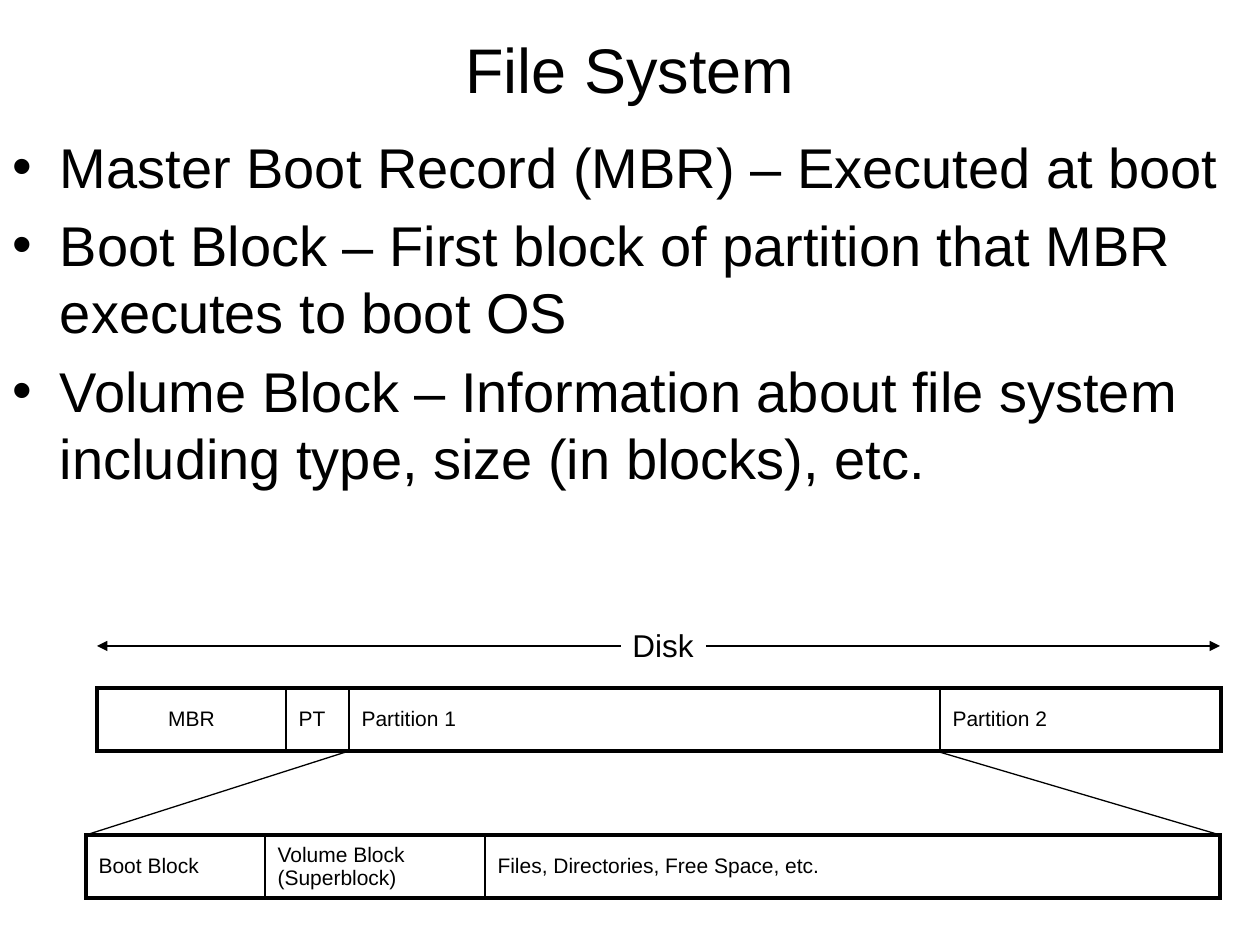
from lxml.etree import SubElement
from pptx import Presentation
from pptx.dml.color import RGBColor
from pptx.enum.shapes import MSO_CONNECTOR as Connector
from pptx.enum.text import MSO_ANCHOR as Anchor, MSO_AUTO_SIZE as AutoSize, PP_ALIGN as Align
from pptx.oxml.ns import qn
from pptx.util import Emu, Pt

BLACK = RGBColor(0x00, 0x00, 0x00)
FONT = "Arial"
PX_PER_INCH = 126
THIN, THICK = 1, 2.25

TITLE = "File System"
POINTS = [
    "Master Boot Record (MBR) – Executed at boot",
    "Boot Block – First block of partition that MBR executes to boot OS",
    "Volume Block – Information about file system including type, size (in blocks), etc.",
]
ROW_HEIGHT = 63
# left, top, cells as (text, width, alignment)
DISK = (97, 688, [
    ("MBR", 189, Align.CENTER),
    ("PT", 63, Align.LEFT),
    ("Partition 1", 591, Align.LEFT),
    ("Partition 2", 281, Align.LEFT),
])
PARTITION = (86, 835, [
    ("Boot Block", 179, Align.LEFT),
    ("Volume Block (Superblock)", 220, Align.LEFT),
    ("Files, Directories, Free Space, etc.", 735, Align.LEFT),
])
# start, end, arrowhead at the end
LINES = [
    ((706, 646), (1220, 646), True),
    ((621, 646), (97, 646), True),
    ((349, 751), (86, 835), False),
    ((936, 751), (1220, 835), False),
]


def px(*lengths):
    return [Emu(round(length * 914400 / PX_PER_INCH)) for length in lengths]


def place(shape, *box):
    shape.left, shape.top, shape.width, shape.height = px(*box)


def write(frame, *texts, size, align=Align.LEFT, before=None):
    for i, text in enumerate(texts):
        para = frame.add_paragraph() if i else frame.paragraphs[0]
        para.alignment = align
        if before is not None:
            para.space_before = Pt(before)
        span = para.add_run()
        span.text = text
        span.font.name = FONT
        span.font.size = Pt(size)
        span.font.color.rgb = BLACK


def set_borders(cell, **widths):
    """Draw black borders; they must come before the fill in the cell's XML."""
    properties = cell._tc.get_or_add_tcPr()
    for side in "LRTB":
        line = SubElement(properties, qn(f"a:ln{side}"), w=str(Pt(widths[side])))
        fill = SubElement(line, qn("a:solidFill"))
        SubElement(fill, qn("a:srgbClr"), val=str(BLACK))


def add_strip(page, left, top, cells):
    """Add a one-row table with a thick outline and thin dividers."""
    width = sum(cell_width for _, cell_width, _ in cells)
    frame = page.shapes.add_table(1, len(cells), *px(left, top, width, ROW_HEIGHT))
    table = frame.table
    table.first_row = table.horz_banding = False
    last = len(cells) - 1
    for i, (text, cell_width, align) in enumerate(cells):
        table.columns[i].width = px(cell_width)[0]
        cell = table.cell(0, i)
        cell.vertical_anchor = Anchor.MIDDLE
        set_borders(cell, L=THIN if i else THICK, R=THIN if i < last else THICK,
                    T=THICK, B=THICK)
        cell.fill.background()
        write(cell.text_frame, text, size=12, align=align, before=2.4)


def add_line(page, start, end, arrow):
    line = page.shapes.add_connector(Connector.STRAIGHT, *px(*start, *end))
    line.line.color.rgb = BLACK
    line.line.width = Pt(0.75)
    if arrow:
        SubElement(line.line._get_or_add_ln(), qn("a:tailEnd"), type="triangle")
    SubElement(line._element.spPr, qn("a:effectLst"))


def main():
    deck = Presentation()
    deck.slide_width, deck.slide_height = px(1260, 945)
    page = deck.slides.add_slide(deck.slide_layouts[1])

    title, body = page.shapes.title, page.placeholders[1]
    place(title, 63, 21, 1134, 95)
    title.text_frame.vertical_anchor = Anchor.MIDDLE
    write(title.text_frame, TITLE, size=36, align=Align.CENTER)
    place(body, 0, 126, 1260, 777)
    write(body.text_frame, *POINTS, size=32)
    for placeholder in (title, body):
        placeholder.text_frame.auto_size = AutoSize.NONE

    add_strip(page, *DISK)
    label = page.shapes.add_textbox(*px(620, 620, 87, 50)).text_frame
    label.word_wrap = False
    label.auto_size = AutoSize.SHAPE_TO_FIT_TEXT
    write(label, "Disk", size=18)
    add_strip(page, *PARTITION)
    for line in LINES:
        add_line(page, *line)

    deck.save("out.pptx")


if __name__ == "__main__":
    main()
